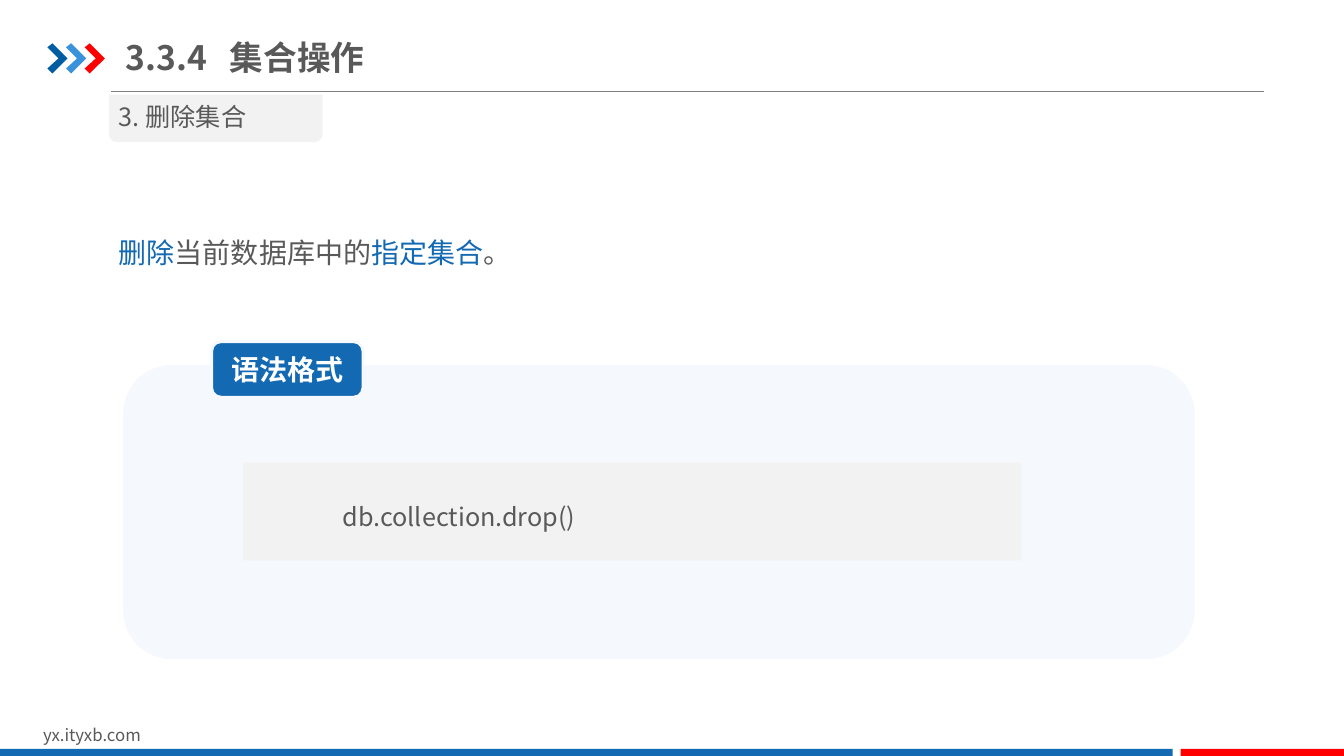
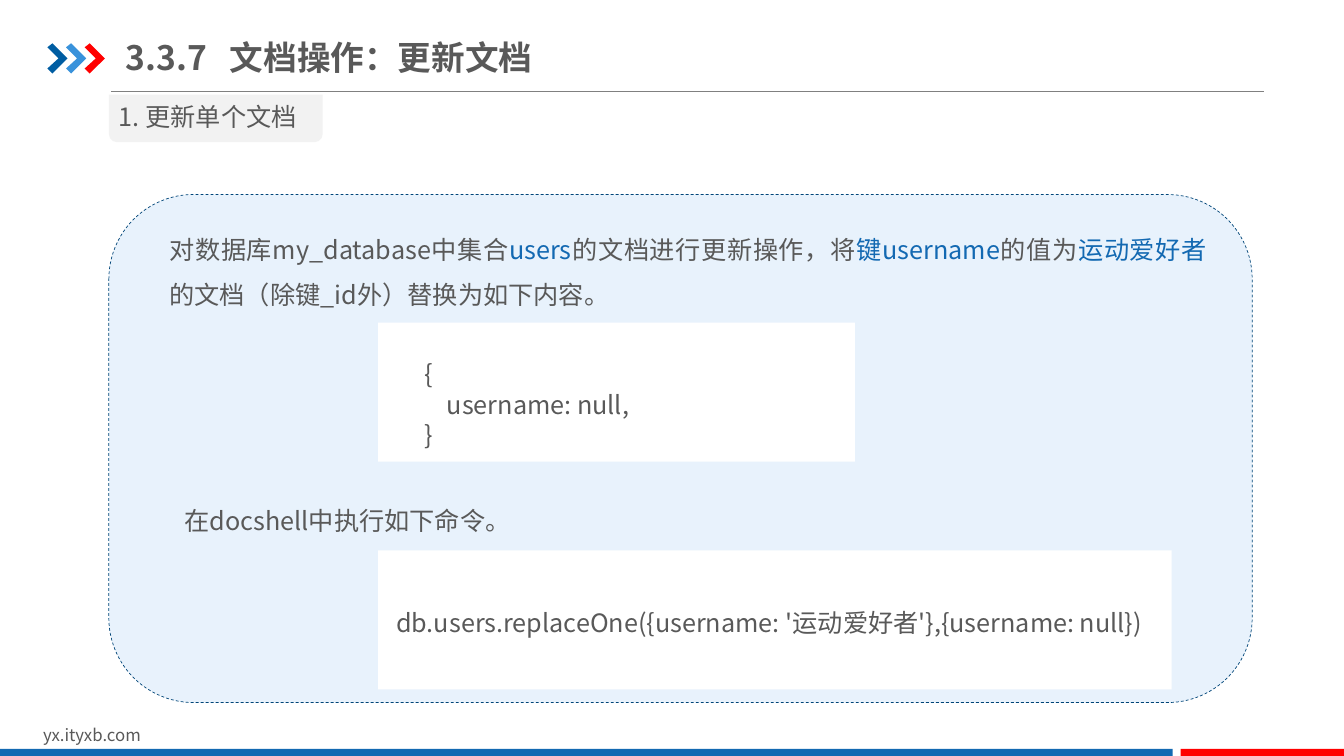
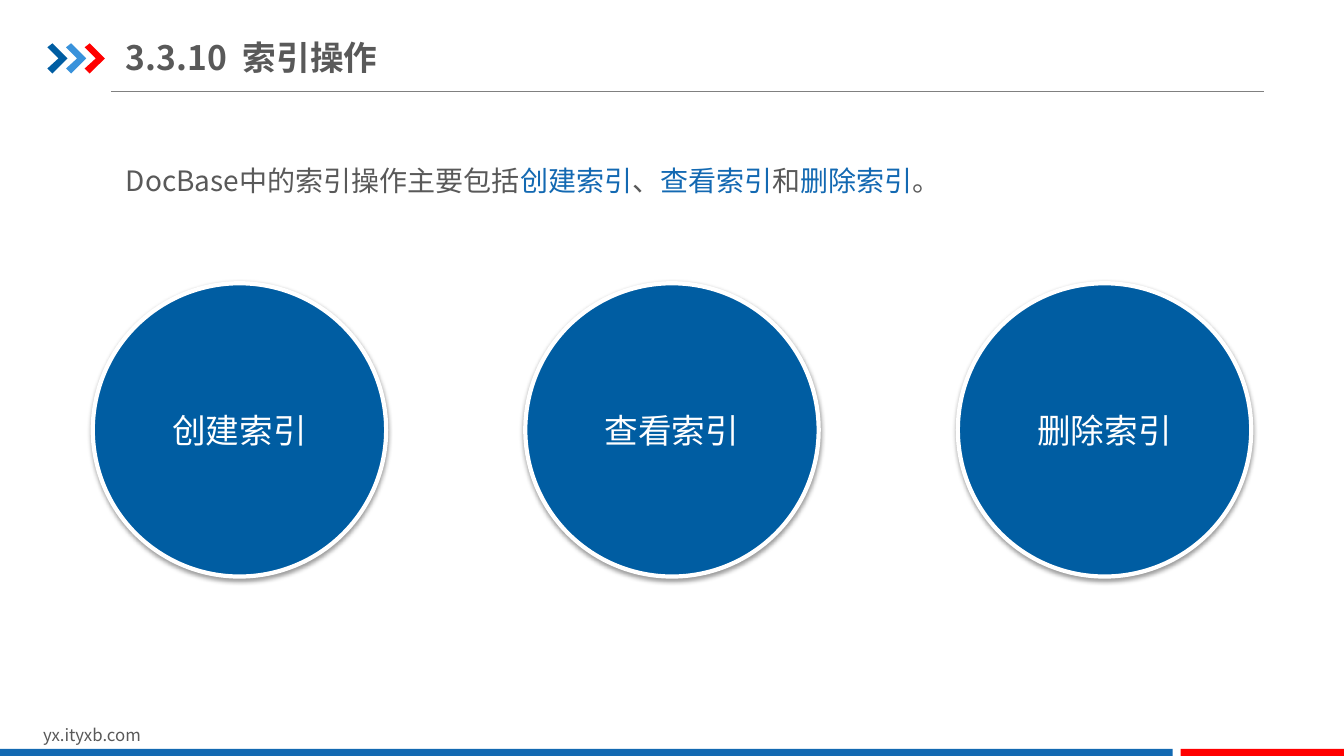
from lxml import etree
from pptx import Presentation
from pptx.dml.color import RGBColor
from pptx.enum.dml import MSO_LINE
from pptx.enum.shapes import MSO_CONNECTOR, MSO_SHAPE
from pptx.enum.text import MSO_ANCHOR, PP_ALIGN
from pptx.oxml.ns import qn
from pptx.util import Inches, Pt

RECT, ROUND = MSO_SHAPE.RECTANGLE, MSO_SHAPE.ROUNDED_RECTANGLE
TAB, CIRCLE = MSO_SHAPE.ROUND_2_SAME_RECTANGLE, MSO_SHAPE.OVAL
TOP, MIDDLE = MSO_ANCHOR.TOP, MSO_ANCHOR.MIDDLE
LEFT, CENTER, JUSTIFY = PP_ALIGN.LEFT, PP_ALIGN.CENTER, PP_ALIGN.JUSTIFY
STRAIGHT, DASH = MSO_CONNECTOR.STRAIGHT, MSO_LINE.DASH

WIDTH, HEIGHT = 13.33, 7.5
FONT = "Noto Sans CJK SC"
TEXT, BLUE, NAVY, SKY, RED = "595959", "1369B2", "005DA2", "3992DB", "FF0000"
GREY, WHITE, RULE, PALE, LIGHT, OUTLINE = "F2F2F2", "FFFFFF", "808080", "F5F8FD", "E8F2FC", "004578"
ROOMY = (0.13, 0.07)

FOOTER = "yx.ityxb.com"
# Chevron lengths are thousandths of an inch, since freeform points are whole numbers.
CHEVRON = [(0, 40), (50, 0), (200, 150), (50, 300), (0, 250), (110, 150)]
CHEVRON_LEFT, CHEVRON_TOP, CHEVRON_PITCH = 470, 430, 185
CHEVRON_COLORS = [NAVY, SKY, RED]

# Text between bars is highlighted.
DROP = {
    "title": ("3.3.4", "集合操作"),
    "section": "3. 删除集合",
    "intro": "|删除|当前数据库中的|指定集合|。",
    "badge": "语法格式",
    "code": ["db.collection.drop()"],
}
UPDATE = {
    "title": ("3.3.7", "文档操作：更新文档"),
    "section": "1. 更新单个文档",
    "task": "对数据库my_database中集合|users|的文档进行更新操作，将|键username|的值为"
            "|运动爱好者|的文档（除键_id外）替换为如下内容。",
    "document": ["{", "    username: null,", "}"],
    "step": "在docshell中执行如下命令。",
    "command": ["db.users.replaceOne({username: '运动爱好者'},{username: null})"],
}
INDEX = {
    "title": ("3.3.10", "索引操作"),
    "intro": "DocBase中的索引操作主要包括|创建索引|、|查看索引|和|删除索引|。",
    "operations": ["创建索引", "查看索引", "删除索引"],
}


def rgb(color):
    return RGBColor.from_string(color)


def write(box, lines, size=18, color=TEXT, bold=False, align=LEFT, anchor=TOP,
          spacing=None, inset=(0.1, 0.05), tab=None):
    """Fill a shape with paragraphs, colouring the parts between bars."""
    frame = box.text_frame
    frame.word_wrap = True
    frame.vertical_anchor = anchor
    frame.margin_left = frame.margin_right = Inches(inset[0])
    frame.margin_top = frame.margin_bottom = Inches(inset[1])
    for number, line in enumerate(lines):
        para = frame.add_paragraph() if number else frame.paragraphs[0]
        if tab:
            stops = etree.SubElement(para._p.get_or_add_pPr(), qn("a:tabLst"))
            etree.SubElement(stops, qn("a:tab"), pos=str(Inches(tab)), algn="l")
        para.alignment = align
        if spacing:
            para.line_spacing = spacing
        for index, part in enumerate(line.split("|")):
            if not part:
                continue
            span = para.add_run()
            span.text = part
            span.font.name = FONT
            span.font.size = Pt(size)
            span.font.bold = bold
            span.font.color.rgb = rgb(BLUE if index % 2 else color)
            etree.SubElement(span._r.get_or_add_rPr(), qn("a:ea"), typeface=FONT)


def add_text(page, at, lines, **style):
    box = page.shapes.add_textbox(*map(Inches, at))
    write(box, lines, **style)


def paint(shape, fill, line=None, weight=1):
    shape.shadow.inherit = False
    shape.fill.solid()
    shape.fill.fore_color.rgb = rgb(fill)
    if line:
        shape.line.color.rgb = rgb(line)
        shape.line.width = Pt(weight)
    else:
        shape.line.fill.background()


def add_block(page, kind, at, fill, **outline):
    shape = page.shapes.add_shape(kind, *map(Inches, at))
    paint(shape, fill, **outline)
    return shape


def cast_shadow(shape):
    effects = shape._element.spPr.find(qn("a:effectLst"))
    shadow = etree.SubElement(effects, qn("a:outerShdw"), blurRad=str(Pt(3.1)),
                              dist=str(Pt(1.6)), dir="5400000", rotWithShape="0")
    black = etree.SubElement(shadow, qn("a:srgbClr"), val="000000")
    etree.SubElement(black, qn("a:alpha"), val="38000")


def add_page(deck, content):
    """Start a slide with the header, the footer and an optional section tab."""
    page = deck.slides.add_slide(deck.slide_layouts[6])
    rule = page.shapes.add_connector(STRAIGHT, *map(Inches, (1.1, 0.91, 12.54, 0.91)))
    rule.line.color.rgb = rgb(RULE)
    rule.line.width = Pt(0.75)
    etree.SubElement(rule._element.spPr, qn("a:effectLst"))

    chevrons = page.shapes.add_group_shape().shapes
    for index, color in enumerate(CHEVRON_COLORS):
        left = CHEVRON_LEFT + CHEVRON_PITCH * index
        points = [(left + x, CHEVRON_TOP + y) for x, y in CHEVRON]
        builder = chevrons.build_freeform(*points[0], scale=Inches(1) / 1000)
        builder.add_line_segments(points[1:], close=True)
        paint(builder.convert_to_shape(), color)

    add_text(page, (0.33, 7.14, 3.18, 0.3), [FOOTER], size=12)
    for left, right, color in [(0, 11.63, BLUE), (11.71, WIDTH, RED)]:
        add_block(page, RECT, (left, 7.43, right - left, HEIGHT - 7.43), color)

    number, name = content["title"]
    add_text(page, (1.25, 0.29, 6.36, 0.55), [f"{number}\t{name}"], size=24, bold=True,
             anchor=MIDDLE, inset=(0, 0.07), tab=0.38 + 0.13 * len(number))
    if "section" in content:
        add_block(page, TAB, (1.08, 0.94, 2.12, 0.47), GREY).rotation = 180
        add_text(page, (1.08, 0.96, 2.27, 0.4), [content["section"]])
    return page


def build_drop(deck):
    page = add_page(deck, DROP)
    add_text(page, (1.08, 2.19, 4.16, 0.5), [DROP["intro"]], size=20, align=JUSTIFY, spacing=1.3)
    add_block(page, ROUND, (1.22, 3.62, 10.63, 2.92), PALE)
    badge = add_block(page, ROUND, (2.1, 3.39, 1.5, 0.55), BLUE, line=PALE, weight=2)
    write(badge, [DROP["badge"]], size=20, color=WHITE, bold=True, align=CENTER, anchor=MIDDLE)
    add_block(page, RECT, (2.41, 4.59, 7.72, 0.97), GREY)
    add_text(page, (3.3, 4.86, 4.58, 0.43), DROP["code"], spacing=1.2)


def build_update(deck):
    page = add_page(deck, UPDATE)
    panel = add_block(page, ROUND, (1.08, 1.93, 11.34, 5.04), LIGHT, line=OUTLINE, weight=0.5)
    panel.line.dash_style = DASH
    for at, key in [((1.55, 2.1, 10.55, 0.99), "task"), ((1.7, 4.79, 10.55, 0.54), "step")]:
        add_text(page, at, [UPDATE[key]], align=JUSTIFY, spacing=1.5, inset=ROOMY)
    for top, width, key, text_at in [
        (3.2, 4.73, "document", (4.11, 3.51, 4.73, 1.01)),
        (5.46, 7.87, "command", (3.83, 5.98, 7.64, 0.7)),
    ]:
        add_block(page, RECT, (3.75, top, width, 1.38), WHITE)
        add_text(page, text_at, UPDATE[key])


def build_index(deck):
    page = add_page(deck, INDEX)
    add_text(page, (1.15, 1.47, 10.5, 0.5), [INDEX["intro"]], size=20, align=JUSTIFY, spacing=1.3)
    diameter, pitch = 2.91, 4.29
    first = (WIDTH - diameter) / 2 - pitch
    for index, operation in enumerate(INDEX["operations"]):
        circle = add_block(page, CIRCLE, (first + index * pitch, 2.81, diameter, diameter),
                           NAVY, line=WHITE, weight=3)
        cast_shadow(circle)
        write(circle, [operation], size=24, color=WHITE, align=CENTER, anchor=MIDDLE)


def main():
    deck = Presentation()
    deck.slide_width, deck.slide_height = Inches(WIDTH), Inches(HEIGHT)
    for build in (build_drop, build_update, build_index):
        build(deck)
    deck.save("out.pptx")


if __name__ == "__main__":
    main()
